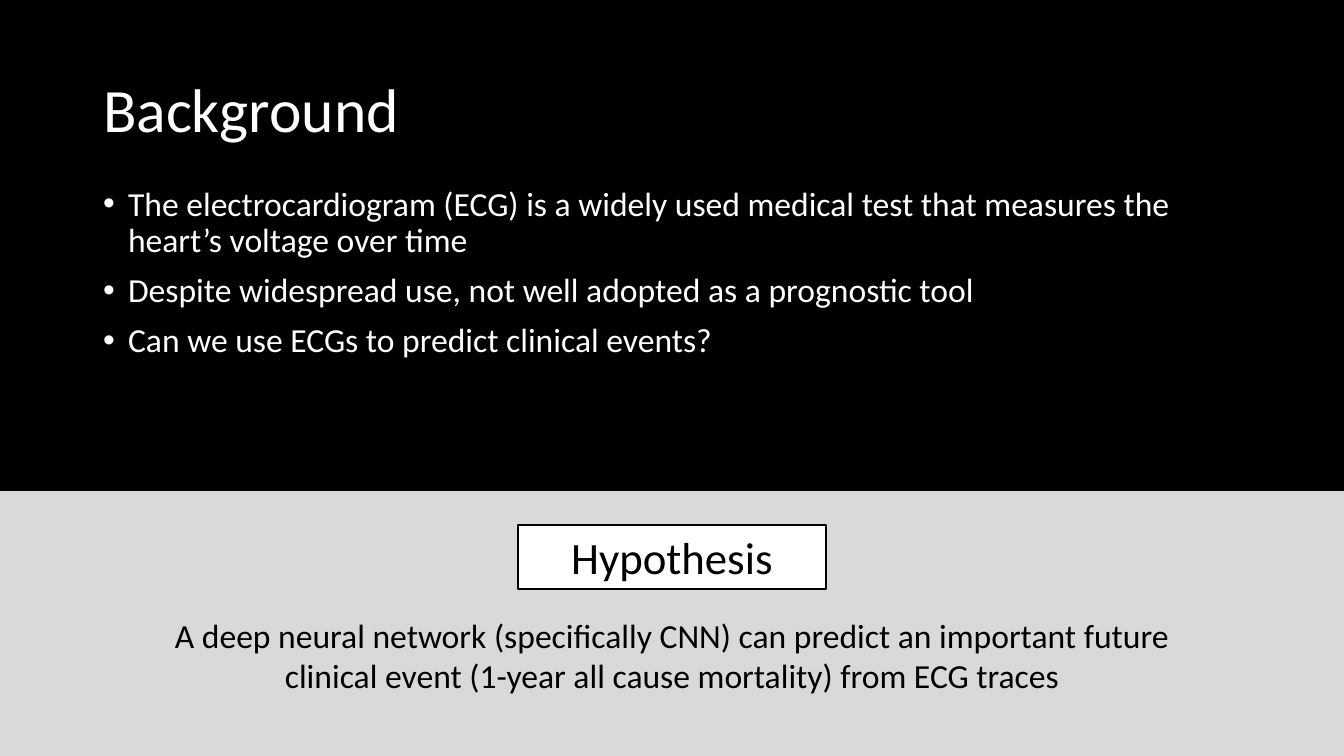
from lxml.etree import SubElement
from pptx import Presentation
from pptx.dml.color import RGBColor
from pptx.enum.shapes import MSO_SHAPE
from pptx.enum.text import MSO_ANCHOR, MSO_AUTO_SIZE, PP_ALIGN
from pptx.oxml.ns import qn
from pptx.util import Pt

EMU_PER_PX = 914400 / 100.8
FONT = "Calibri"
BLACK, WHITE, GREY = "000000", "FFFFFF", "D9D9D9"

BACKGROUND_POINTS = [
    "The electrocardiogram (ECG) is a widely used medical test that measures the heart’s voltage over time",
    "Despite widespread use, not well adopted as a prognostic tool",
    "Can we use ECGs to predict clinical events?",
]
HYPOTHESIS = [
    "A deep neural network (specifically CNN) can predict an important future",
    "clinical event (1-year all cause mortality) from ECG traces",
]


def px(length):
    return round(length * EMU_PER_PX)


def color(hex_code):
    return RGBColor.from_string(hex_code)


def place(element, left, top, width, height):
    element.left, element.top = px(left), px(top)
    element.width, element.height = px(width), px(height)


def write(element, lines, size, ink, align=PP_ALIGN.LEFT, anchor=MSO_ANCHOR.TOP,
          spacing=1.0, before=0, inset_top=5):
    frame = element.text_frame
    frame.word_wrap = True
    frame.auto_size = MSO_AUTO_SIZE.NONE
    frame.vertical_anchor = anchor
    frame.margin_top = px(inset_top)
    frame.text = "\n".join(lines)
    for paragraph in frame.paragraphs:
        paragraph.alignment = align
        paragraph.line_spacing = spacing
        paragraph.space_before = Pt(before)
        font = paragraph.runs[0].font
        font.name, font.size = FONT, Pt(size)
        font.color.rgb = color(ink)


def add_bullets(element, indent):
    for paragraph in element.text_frame.paragraphs:
        properties = paragraph._p.get_or_add_pPr()
        properties.set("marL", str(px(indent)))
        properties.set("indent", str(-px(indent)))
        SubElement(properties, qn("a:buFont")).set("typeface", "Arial")
        SubElement(properties, qn("a:buChar")).set("char", "•")


def add_panel(slide, bounds, fill, outline):
    panel = slide.shapes.add_shape(MSO_SHAPE.RECTANGLE, *map(px, bounds))
    panel.shadow.inherit = False
    panel.fill.solid()
    panel.fill.fore_color.rgb = color(fill)
    panel.line.color.rgb = color(outline)
    panel.line.width = Pt(1)
    return panel


def main():
    deck = Presentation()
    deck.slide_width, deck.slide_height = px(1344), px(756)
    slide = deck.slides.add_slide(deck.slide_layouts[1])
    slide.background.fill.solid()
    slide.background.fill.fore_color.rgb = color(BLACK)

    heading = slide.shapes.title
    place(heading, 93, 40, 1159, 146)
    write(heading, ["Background"], 44, WHITE, anchor=MSO_ANCHOR.MIDDLE, spacing=0.9)

    points = slide.placeholders[1]
    place(points, 93, 182, 1159, 480)
    write(points, BACKGROUND_POINTS, 24, WHITE, spacing=0.9, before=10)
    add_bullets(points, 25)

    hypothesis_band = add_panel(slide, (0, 492, 1344, 264), GREY, GREY)
    write(hypothesis_band, HYPOTHESIS, 24, BLACK, align=PP_ALIGN.CENTER, inset_top=123)

    hypothesis_label = add_panel(slide, (518, 525, 308, 64), WHITE, BLACK)
    write(hypothesis_label, ["Hypothesis"], 32, BLACK, align=PP_ALIGN.CENTER)

    deck.save("out.pptx")


if __name__ == "__main__":
    main()
